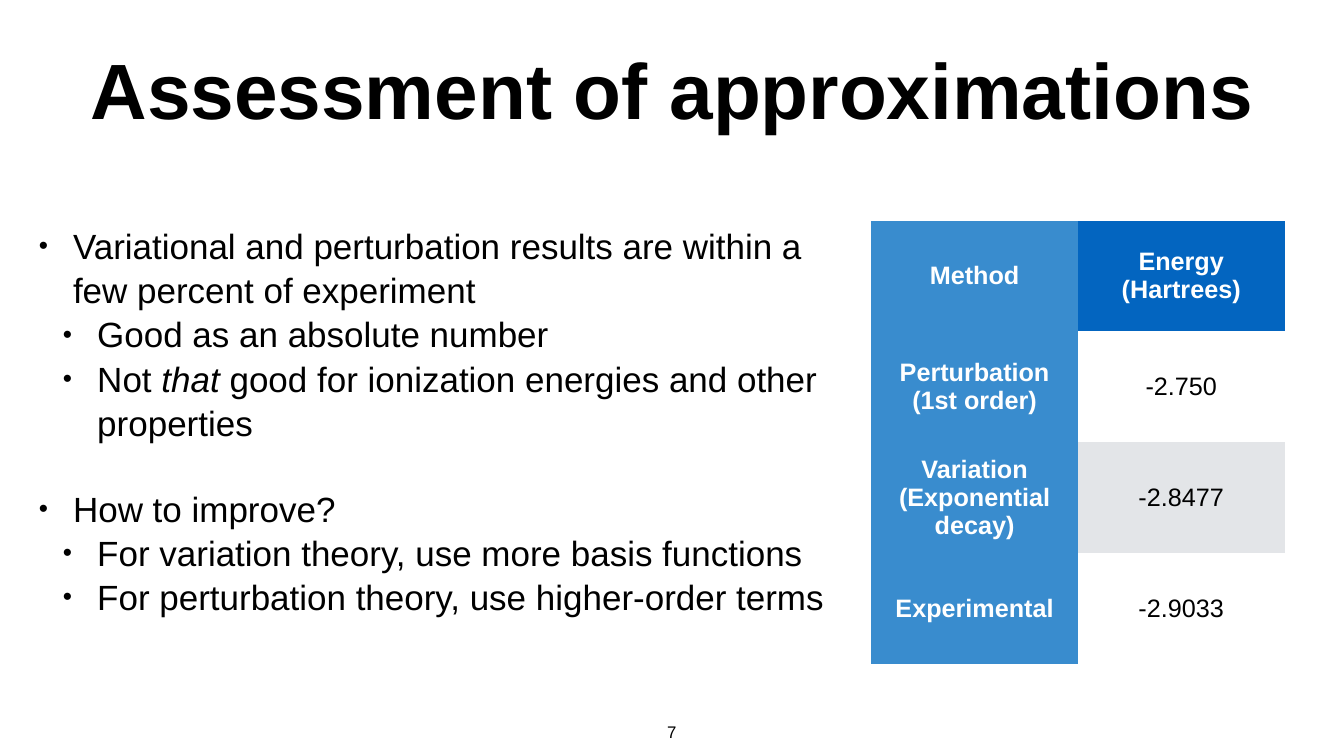
from lxml.etree import SubElement
from pptx import Presentation
from pptx.dml.color import RGBColor
from pptx.enum.text import MSO_ANCHOR as Anchor, PP_ALIGN as Align
from pptx.oxml.ns import qn
from pptx.util import Inches, Pt

FONT = "Arial"
BLACK, WHITE = "000000", "FFFFFF"
BLUE, LIGHT_BLUE, GREY = "0365C0", "398CCE", "E3E5E8"

TITLE = "Assessment of approximations"
# Level, runs as (text, italic), space before in points
BULLETS = [
    (0, [("Variational and perturbation results are within a few percent of experiment", False)], 0),
    (1, [("Good as an absolute number", False)], 0),
    (1, [("Not ", False), ("that", True),
         (" good for ionization energies and other properties", False)], 0),
    (0, [("How to improve?", False)], 60),
    (1, [("For variation theory, use more basis functions", False)], 0),
    (1, [("For perturbation theory, use higher-order terms", False)], 0),
]
ENERGIES = [
    ("Method", "Energy (Hartrees)"),
    ("Perturbation (1st order)", "-2.750"),
    ("Variation (Exponential decay)", "-2.8477"),
    ("Experimental", "-2.9033"),
]


def rgb(color):
    return RGBColor.from_string(color)


def add_text(paragraph, text, size, color=BLACK, bold=False, italic=False):
    run = paragraph.add_run()
    run.text = text
    font = run.font
    font.name, font.size, font.bold, font.italic = FONT, Pt(size), bold, italic
    font.color.rgb = rgb(color)


def set_margins(target, margin):
    target.margin_left = target.margin_right = Inches(margin)
    target.margin_top = target.margin_bottom = Inches(margin)


def add_frame(slide, box, anchor=Anchor.MIDDLE, wrap=True):
    """Add a text box and return its text frame."""
    frame = slide.shapes.add_textbox(*map(Inches, box)).text_frame
    frame.word_wrap = wrap
    frame.vertical_anchor = anchor
    set_margins(frame, 0.08)
    return frame


def add_line(slide, box, text, size, bold=False, **frame_format):
    """Add a text box with one centred line."""
    paragraph = add_frame(slide, box, **frame_format).paragraphs[0]
    paragraph.alignment = Align.CENTER
    add_text(paragraph, text, size, bold=bold)


def set_bullet(paragraph, level):
    properties = paragraph._p.get_or_add_pPr()
    properties.set("marL", str(Inches(0.68 + 0.48 * level)))
    properties.set("indent", str(Inches(-0.68)))
    SubElement(properties, qn("a:buSzPct"), val="75000")
    SubElement(properties, qn("a:buFont"), typeface=FONT)
    SubElement(properties, qn("a:buChar"), char="•")


def add_bullets(slide, box):
    frame = add_frame(slide, box)
    for index, (level, runs, space_before) in enumerate(BULLETS):
        paragraph = frame.add_paragraph() if index else frame.paragraphs[0]
        paragraph.level = level
        paragraph.line_spacing = 1.05
        paragraph.space_before = Pt(space_before)
        set_bullet(paragraph, level)
        for text, italic in runs:
            add_text(paragraph, text, 50, italic=italic)


def cell_fill(row, column):
    if column == 0:
        return LIGHT_BLUE
    if row == 0:
        return BLUE
    return WHITE if row % 2 else GREY


def add_energy_table(slide, box):
    table = slide.shapes.add_table(len(ENERGIES), 2, *map(Inches, box)).table
    for row, values in enumerate(ENERGIES):
        for column, value in enumerate(values):
            header = row == 0 or column == 0
            cell = table.cell(row, column)
            cell.fill.solid()
            cell.fill.fore_color.rgb = rgb(cell_fill(row, column))
            cell.vertical_anchor = Anchor.MIDDLE
            set_margins(cell, 0.06)
            paragraph = cell.text_frame.paragraphs[0]
            paragraph.alignment = Align.CENTER
            add_text(paragraph, value, 36, WHITE if header else BLACK, bold=header)
    # The cells carry their own fills, so the grid style is replaced by "No Style, No Grid"
    style = table._tbl.tblPr.find(qn("a:tableStyleId"))
    style.text = "{2D5ABB26-0587-4C30-8999-92F81FD0307C}"


def main():
    presentation = Presentation()
    presentation.slide_width, presentation.slide_height = Inches(26.67), Inches(15)
    slide = presentation.slides.add_slide(presentation.slide_layouts[6])
    add_line(slide, (0.69, 0.35, 25.28, 2.78), TITLE, 112, bold=True)
    add_bullets(slide, (0.69, 2.78, 15.97, 11.11))
    add_line(slide, (13.15, 14.23, 0.36, 0.56), "7", 24, anchor=Anchor.TOP, wrap=False)
    add_energy_table(slide, (17.29, 4.38, 8.2, 8.79))
    presentation.save("out.pptx")


if __name__ == "__main__":
    main()
